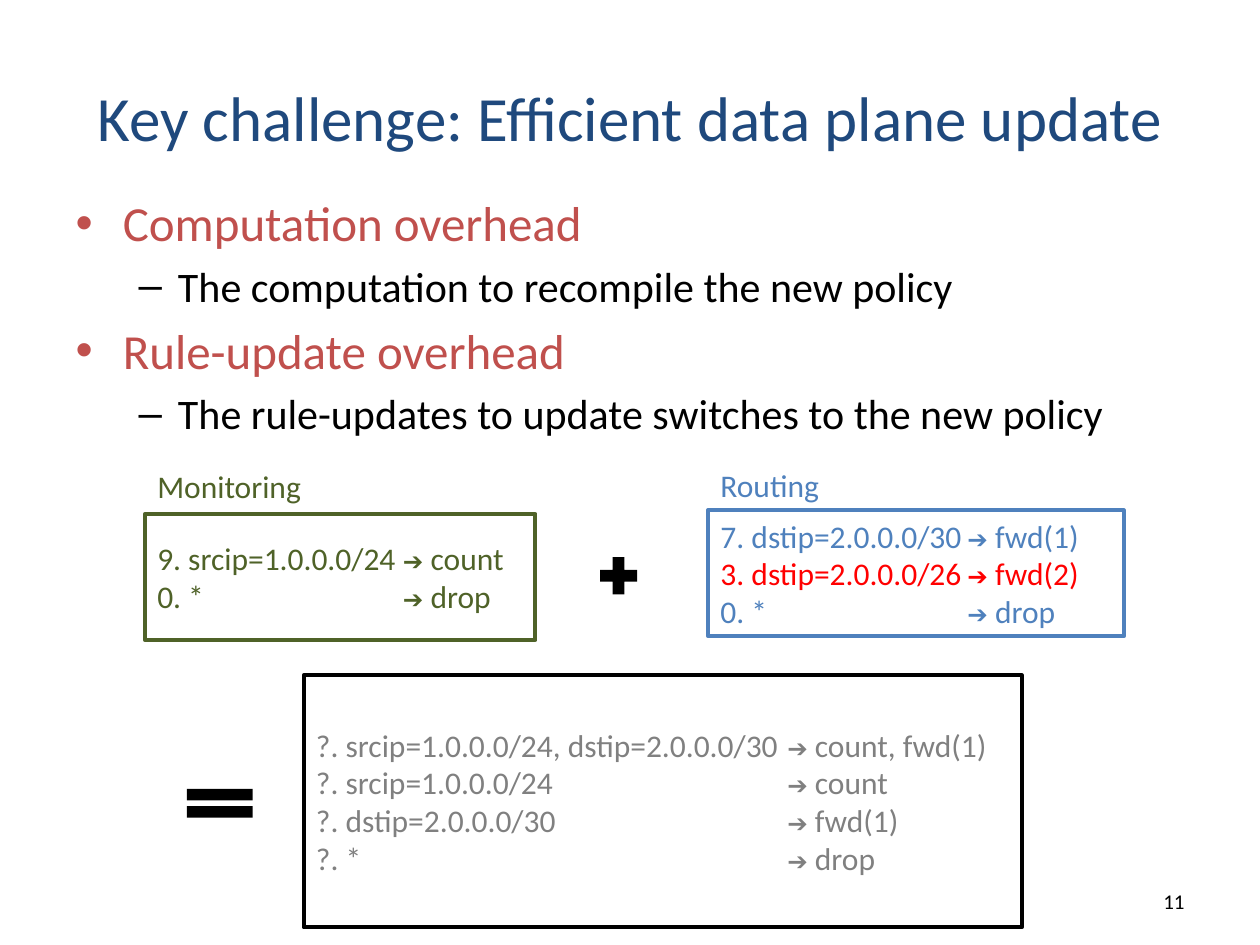
from dataclasses import dataclass

from lxml import etree
from pptx import Presentation
from pptx import util as u
from pptx.dml.color import RGBColor
from pptx.enum import shapes, text
from pptx.oxml.ns import qn


@dataclass(frozen=True)
class Theme:
    font: str = "Calibri"
    arrow_font: str = "Arial"
    navy: str = "1F497D"
    brick: str = "C0504D"
    green: str = "4F6228"
    blue: str = "4F81BD"
    red: str = "FF0000"
    gray: str = "808080"
    black: str = "000000"
    white: str = "FFFFFF"
    title: int = 36
    heading: int = 28
    detail: int = 24
    rule: int = 18
    arrow: int = 14
    number: int = 12
    border: float = 2.25


THEME = Theme()


def place(box, *frame):
    for name, value in zip(("left", "top", "width", "height"), frame):
        setattr(box, name, u.Inches(value))


def style(font, size, color, name=THEME.font):
    for key, value in {"size": u.Pt(size), "name": name}.items():
        setattr(font, key, value)
    font.color.rgb = RGBColor.from_string(color)


def add_span(para, words, size, color, name=THEME.font):
    span = para.add_run()
    span.text = words
    style(span.font, size, color, name)


def add_tab_stop(para, position):
    tabs = etree.SubElement(para._p.get_or_add_pPr(), qn("a:tabLst"))
    etree.SubElement(tabs, qn("a:tab"), pos=str(u.Inches(position)), algn="l")


def add_label(page, words, frame, size, color, align=text.PP_ALIGN.LEFT,
              anchor=text.MSO_ANCHOR.TOP):
    box = page.shapes.add_textbox(*map(u.Inches, frame))
    box.text_frame.word_wrap = True
    box.text_frame.vertical_anchor = anchor
    para = box.text_frame.paragraphs[0]
    para.alignment = align
    add_span(para, words, size, color)


def add_solid(page, kind, frame, fill):
    box = page.shapes.add_shape(kind, *map(u.Inches, frame))
    box.shadow.inherit = False
    box.fill.solid()
    box.fill.fore_color.rgb = RGBColor.from_string(fill)
    box.line.fill.background()
    return box


def add_rule_table(page, frame, border, arrow_at, rules):
    """Draw a bordered box of (match, action, colour) rules with aligned arrows."""
    box = add_solid(page, shapes.MSO_SHAPE.RECTANGLE, frame, THEME.white)
    box.line.color.rgb = RGBColor.from_string(border)
    box.line.width = u.Pt(THEME.border)
    body = box.text_frame
    body.word_wrap = True
    body.vertical_anchor = text.MSO_ANCHOR.MIDDLE
    for index, (match, action, color) in enumerate(rules):
        para = body.add_paragraph() if index else body.paragraphs[0]
        para.alignment = text.PP_ALIGN.LEFT
        add_tab_stop(para, arrow_at)
        add_span(para, match + "\t", THEME.rule, color)
        add_span(para, "➔", THEME.arrow, color, THEME.arrow_font)
        add_span(para, " " + action, THEME.rule, color)


def fill_title(page, words):
    title = page.shapes.title
    place(title, 0.5, 0.3, 9, 1.25)
    add_span(title.text_frame.paragraphs[0], words, THEME.title, THEME.navy)


def fill_bullets(page, topics):
    body = page.placeholders[1]
    place(body, 0.5, 1.48, 9, 4.95)
    levels = ((THEME.heading, THEME.brick), (THEME.detail, THEME.black))
    lines = [(level, words) for topic in topics for level, words in enumerate(topic)]
    for index, (level, words) in enumerate(lines):
        frame = body.text_frame
        para = frame.add_paragraph() if index else frame.paragraphs[0]
        para.level = level
        if not index:
            para.space_before = u.Pt(0)
        add_span(para, words, *levels[level])
        style(para.font, *levels[level])


def main():
    deck = Presentation()
    deck.slide_width, deck.slide_height = u.Inches(10), u.Inches(7.5)
    page = deck.slides.add_slide(deck.slide_layouts[1])

    fill_title(page, "Key challenge: Efficient data plane update")
    fill_bullets(page, (
        ("Computation overhead", "The computation to recompile the new policy"),
        ("Rule-update overhead", "The rule-updates to update switches to the new policy"),
    ))
    add_label(page, "11", (7.17, 6.95, 2.33, 0.4), THEME.number, THEME.black,
              text.PP_ALIGN.RIGHT, text.MSO_ANCHOR.MIDDLE)

    add_solid(page, shapes.MSO_SHAPE.MATH_PLUS, (4.71, 4.37, 0.4, 0.4), THEME.black)
    add_rule_table(page, (1.15, 4.08, 3.1, 1), THEME.green, 1.95, (
        ("9. srcip=1.0.0.0/24", "count", THEME.green),
        ("0. *", "drop", THEME.green),
    ))
    add_label(page, "Monitoring", (1.15, 3.66, 1.6, 0.4), THEME.rule, THEME.green)
    add_rule_table(page, (5.62, 4.05, 3.3, 1), THEME.blue, 1.96, (
        ("7. dstip=2.0.0.0/30", "fwd(1)", THEME.blue),
        ("3. dstip=2.0.0.0/26", "fwd(2)", THEME.red),
        ("0. *", "drop", THEME.blue),
    ))
    add_label(page, "Routing", (5.62, 3.65, 1.6, 0.4), THEME.rule, THEME.blue)
    add_rule_table(page, (2.41, 5.36, 5.7, 2), THEME.black, 3.74, (
        ("?. srcip=1.0.0.0/24, dstip=2.0.0.0/30", "count, fwd(1)", THEME.gray),
        ("?. srcip=1.0.0.0/24", "count", THEME.gray),
        ("?. dstip=2.0.0.0/30", "fwd(1)", THEME.gray),
        ("?. *", "drop", THEME.gray),
    ))
    add_solid(page, shapes.MSO_SHAPE.MATH_EQUAL, (1.39, 6.18, 0.71, 0.39), THEME.black)
    deck.save("out.pptx")


if __name__ == "__main__":
    main()
